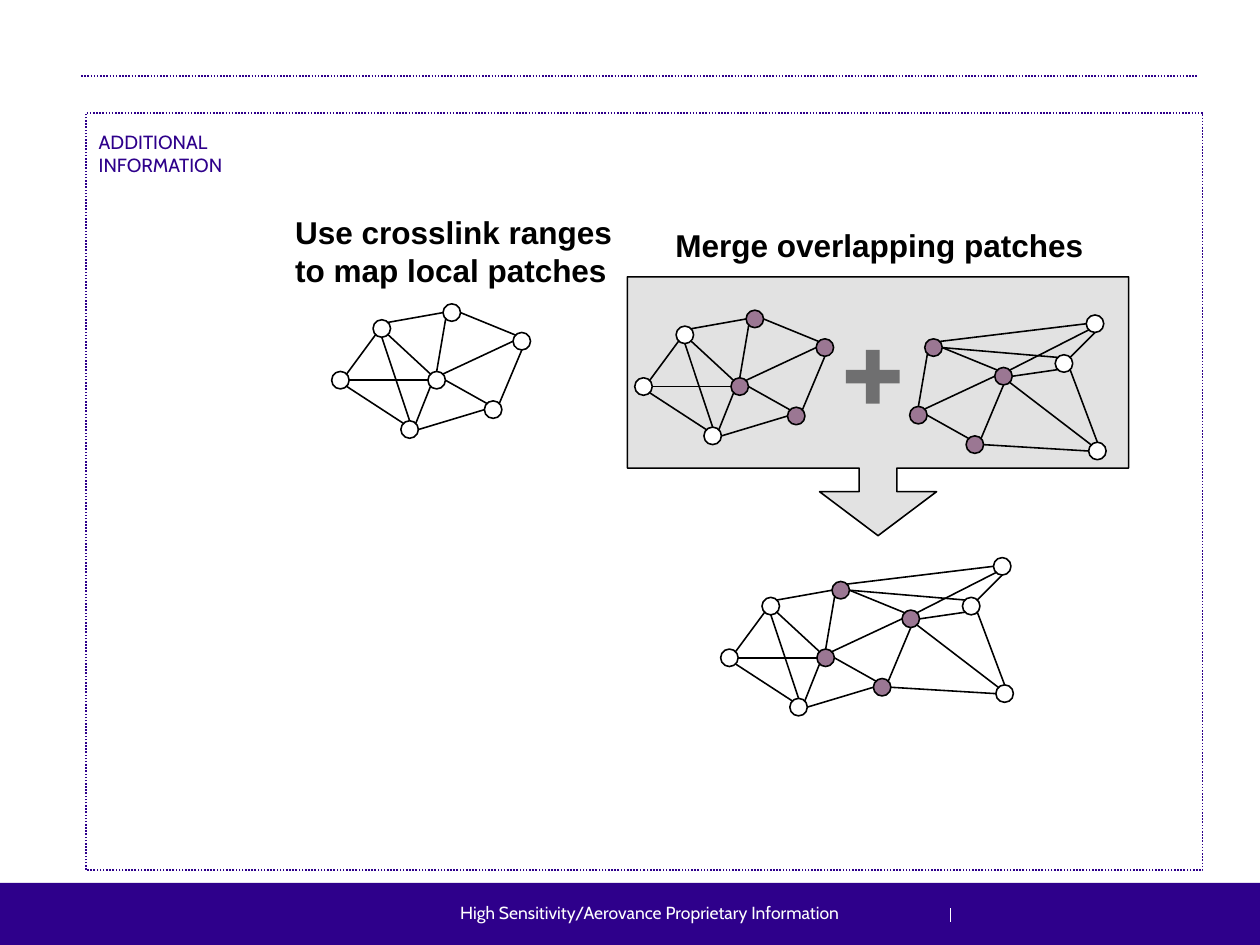
from pptx import Presentation
from pptx.dml.color import RGBColor
from pptx.enum.dml import MSO_LINE
from pptx.enum.shapes import MSO_CONNECTOR, MSO_SHAPE
from pptx.enum.text import PP_ALIGN
from pptx.oxml import parse_xml
from pptx.oxml.ns import nsdecls
from pptx.util import Pt

PURPLE = RGBColor(0x2E, 0x00, 0x8B)
WHITE = RGBColor(0xFF, 0xFF, 0xFF)
BLACK = RGBColor(0x00, 0x00, 0x00)
LIGHT_GRAY = RGBColor(0xE2, 0xE2, 0xE2)
DARK_GRAY = RGBColor(0x6F, 0x6F, 0x70)
MAUVE = RGBColor(0x9B, 0x77, 0x93)

presentation = Presentation()
presentation.slide_width = Pt(792)
presentation.slide_height = Pt(594)
slide = presentation.slides.add_slide(presentation.slide_layouts[6])


def add_shape(kind, left, top, width, height, fill=None, line=None):
    shape = slide.shapes.add_shape(kind, Pt(left), Pt(top), Pt(width), Pt(height))
    shape.shadow.inherit = False
    if fill is None:
        shape.fill.background()
    else:
        shape.fill.solid()
        shape.fill.fore_color.rgb = fill
    if line is None:
        shape.line.fill.background()
    else:
        shape.line.color.rgb = line
        shape.line.width = Pt(1)
    return shape


def add_line(x1, y1, x2, y2, color):
    connector = slide.shapes.add_connector(
        MSO_CONNECTOR.STRAIGHT, Pt(x1), Pt(y1), Pt(x2), Pt(y2))
    connector.line.color.rgb = color
    connector.line.width = Pt(1)
    connector._element.spPr.append(parse_xml(f"<a:effectLst {nsdecls('a')}/>"))
    return connector


add_shape(MSO_SHAPE.RECTANGLE, 0, 555, 792, 39, PURPLE)
title_rule = add_line(51, 47.8, 753, 47.8, PURPLE)
frame = add_shape(MSO_SHAPE.RECTANGLE, 54, 71, 702, 476, line=PURPLE)
for dotted in (title_rule, frame):
    dotted.line.dash_style = MSO_LINE.ROUND_DOT
add_line(597.5, 571, 597.5, 579.5, WHITE)

callout = add_shape(MSO_SHAPE.UP_ARROW_CALLOUT, 394.4, 174, 315, 162.7, LIGHT_GRAY, BLACK)
callout.rotation = 180
for index, value in enumerate((0.146, 0.226, 0.17, 0.739)):
    callout.adjustments[index] = value
plus = add_shape(MSO_SHAPE.MATH_PLUS, 525.6, 213.8, 46, 46, DARK_GRAY)
plus.adjustments[0] = 0.185

texts = [
    ("High Sensitivity/Aerovance Proprietary Information",
     111, 563.5, 595, 21, "Cabin", 11, WHITE, False, PP_ALIGN.CENTER),
    ("ADDITIONAL INFORMATION", 55, 78.5, 160.5, 36, "Cabin", 12, PURPLE, False, PP_ALIGN.LEFT),
    ("Use crosslink ranges to map local patches",
     178.5, 130.5, 219, 55, "Arial", 19.8, BLACK, True, PP_ALIGN.LEFT),
    ("Merge overlapping patches", 417.5, 138.5, 279, 31, "Arial", 19.8, BLACK, True, PP_ALIGN.LEFT),
]
for text, left, top, width, height, font_name, size, color, bold, alignment in texts:
    text_box = slide.shapes.add_textbox(Pt(left), Pt(top), Pt(width), Pt(height))
    text_box.text_frame.word_wrap = True
    paragraph = text_box.text_frame.paragraphs[0]
    paragraph.text = text
    paragraph.alignment = alignment
    paragraph.font.name = font_name
    paragraph.font.size = Pt(size)
    paragraph.font.bold = bold
    paragraph.font.color.rgb = color

NODE_SIZE = 11
SHARED_NODES = {"north": (70, 0), "east": (114, 18), "center": (60.5, 42.5), "southeast": (96, 61)}
LEFT_NODES = {"west": (0, 42.5), "northwest": (26, 10), "south": (43.5, 73.5)}
RIGHT_NODES = {"upper": (171.5, -15), "inner": (152, 10), "lower": (173, 65)}

SITES = {
    "top": (0.5, 0), "bottom": (0.5, 1), "left": (0, 0.5), "right": (1, 0.5),
    "top left": (0.15, 0.15), "top right": (0.85, 0.15),
    "bottom left": (0.15, 0.85), "bottom right": (0.85, 0.85),
}
SHARED_EDGES = [
    ("center", "right", "southeast", "top left"),
    ("southeast", "top right", "east", "bottom"),
    ("east", "left", "center", "top right"),
    ("north", "bottom left", "center", "top"),
    ("north", "right", "east", "top left"),
]
LEFT_EDGES = [
    ("west", "right", "center", "left"),
    ("west", "top right", "northwest", "bottom left"),
    ("northwest", "bottom right", "center", "top left"),
    ("west", "bottom right", "south", "top left"),
    ("northwest", "top right", "north", "left"),
    ("south", "right", "southeast", "left"),
    ("south", "top right", "center", "bottom left"),
    ("northwest", "bottom", "south", "top"),
]
RIGHT_EDGES = [
    ("lower", "top left", "east", "bottom right"),
    ("lower", "left", "southeast", "right"),
    ("east", "top right", "upper", "bottom left"),
    ("upper", "left", "north", "top right"),
    ("inner", "bottom left", "east", "right"),
    ("inner", "top right", "upper", "bottom"),
    ("inner", "bottom right", "lower", "top"),
    ("north", "right", "inner", "top left"),
]

LEFT_PATCH = (SHARED_NODES | LEFT_NODES, SHARED_EDGES + LEFT_EDGES)
RIGHT_PATCH = (SHARED_NODES | RIGHT_NODES, SHARED_EDGES + RIGHT_EDGES)
MERGED_PATCH = (LEFT_PATCH[0] | RIGHT_NODES, LEFT_PATCH[1] + RIGHT_EDGES)

patches = [
    (208.5, 191, LEFT_PATCH, WHITE),
    (399, 195, LEFT_PATCH, MAUVE),
    (511.3, 213, RIGHT_PATCH, MAUVE),
    (453, 365.5, MERGED_PATCH, MAUVE),
]
for origin_x, origin_y, (nodes, edges), shared_color in patches:
    for name, (x, y) in nodes.items():
        fill = shared_color if name in SHARED_NODES else WHITE
        add_shape(MSO_SHAPE.OVAL, origin_x + x, origin_y + y, NODE_SIZE, NODE_SIZE, fill, BLACK)
    for start, start_site, end, end_site in edges:
        points = []
        for name, site in ((start, start_site), (end, end_site)):
            points.append(origin_x + nodes[name][0] + NODE_SIZE * SITES[site][0])
            points.append(origin_y + nodes[name][1] + NODE_SIZE * SITES[site][1])
        add_line(*points, BLACK)

presentation.save("out.pptx")
